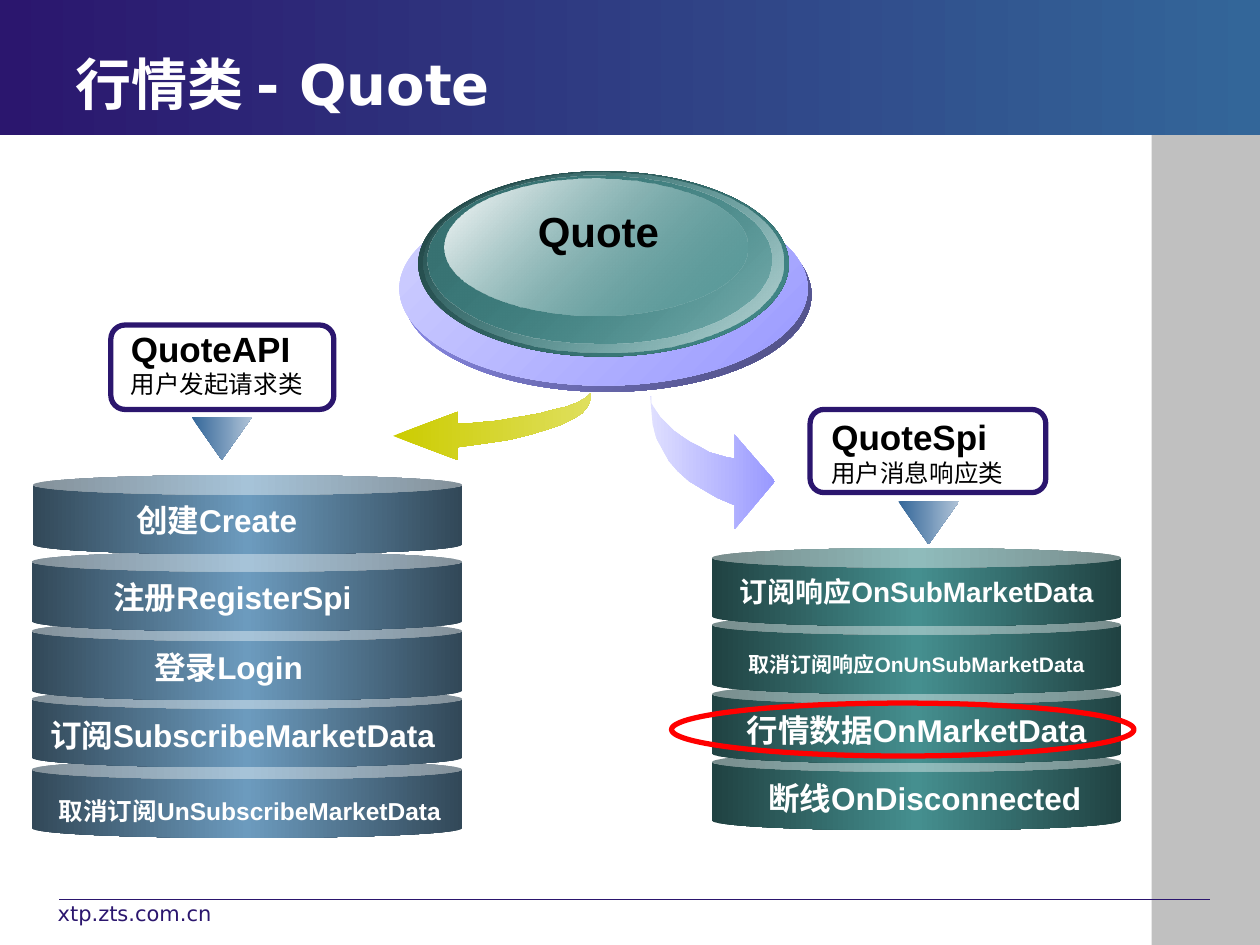
from lxml.etree import SubElement
from pptx import Presentation
from pptx.dml.color import RGBColor
from pptx.enum.shapes import MSO_CONNECTOR, MSO_SHAPE
from pptx.enum.text import MSO_ANCHOR, PP_ALIGN
from pptx.oxml.ns import qn
from pptx.util import Pt

EMU_PER_PX = 9144  # 100 px to the inch

COLORS = {
    "navy": "2B166E", "blue": "336699", "pale_blue": "AFC3D7", "gray": "C0C0C0",
    "steel": "6C9BBE", "dark_steel": "324858",
    "teal": "458F8F", "dark_teal": "204242", "mid_teal": "377171", "pale_teal": "BED8D8",
    "violet": "9999FF", "dark_violet": "4A4A7C", "light_violet": "D2D2FF", "pale_violet": "DFDFFF",
    "olive": "CCCC00", "pale_olive": "DFDF5D",
    "white": "FFFFFF", "black": "000000", "red": "FF0000",
}

YELLOW_ARROW = [
    (469, 312), (469, 318), (466, 323), (462, 328), (454, 333), (446, 337), (434, 341),
    (421, 345), (405, 349), (385, 352), (363, 355), (363, 365), (312, 346), (363, 327),
    (363, 336), (373, 336), (383, 335), (395, 334), (406, 332), (418, 330), (429, 328),
    (440, 325), (449, 323), (457, 320), (463, 317), (467, 314),
]
VIOLET_ARROW = [
    (516, 314), (517, 326), (518, 337), (521, 348), (526, 357), (531, 366), (538, 374),
    (547, 382), (557, 388), (569, 395), (583, 401), (583, 420), (615, 382), (583, 345),
    (583, 364), (577, 363), (570, 361), (563, 359), (556, 355), (548, 351), (542, 347),
    (535, 342), (529, 336), (524, 331), (520, 325), (517, 320), (517, 314),
]

# Box, gradient stops (position, color, opacity), from the rim to the highlight
DISC_LAYERS = [
    ((320, 157, 324, 154), [(0, "violet", 100), (100, "dark_violet", 100)]),
    ((317, 152, 324, 154), [(0, "light_violet", 100), (100, "violet", 100)]),
    ((332, 136, 294, 147), [(0, "dark_teal", 100), (100, "teal", 100)]),
    ((336, 137, 286, 143), [(0, "teal", 0), (100, "pale_teal", 100)]),
    ((339, 139, 273, 134), [(0, "mid_teal", 100), (100, "teal", 48)]),
    ((353, 142, 240, 108), [(0, "white", 100), (100, "teal", 38)]),
]

# Can box, label box, label, size: from the bottom can to the top one
API_CANS = [
    ((25, 603, 342, 62), (30, 627, 337, 34), "取消订阅UnSubscribeMarketData", 14),
    ((25, 547, 342, 62), (12, 563, 361, 40), "订阅SubscribeMarketData", 18),
    ((25, 493, 342, 63), (90, 509, 183, 40), "登录Login", 18),
    ((25, 438, 342, 63), (46, 454, 277, 40), "注册RegisterSpi", 18),
    ((26, 377, 341, 63), (74, 393, 196, 40), "创建Create", 18),
]
SPI_CANS = [
    ((565, 597, 325, 62), (587, 613, 294, 40), "断线OnDisconnected", 18),
    ((565, 543, 325, 63), (573, 559, 309, 40), "行情数据OnMarketData", 18),
    ((565, 488, 325, 63), (573, 512, 309, 30), "取消订阅响应OnUnSubMarketData", 12),
    ((565, 435, 325, 62), (573, 451, 309, 37), "订阅响应OnSubMarketData", 16),
]


def px(value):
    return value * EMU_PER_PX


def rgb(name):
    return RGBColor.from_string(COLORS[name])


def add_run(paragraph, text, size=18, color="black", bold=False, font="Arial"):
    run = paragraph.add_run()
    run.text = text
    run.font.size = Pt(size)
    run.font.bold = bold
    run.font.name = font
    run.font.color.rgb = rgb(color)


def fill_gradient(shape, stops, angle):
    """Fill with (position, color, opacity) stops, the angle running clockwise."""
    shape.fill.gradient()
    gradient = shape._element.spPr.find(qn("a:gradFill"))
    gradient.find(qn("a:lin")).set("ang", str(angle * 60000))
    stop_list = gradient.find(qn("a:gsLst"))
    stop_list.clear()
    for position, color, opacity in stops:
        stop = SubElement(stop_list, qn("a:gs"), pos=str(position * 1000))
        color_element = SubElement(stop, qn("a:srgbClr"), val=COLORS[color])
        if opacity < 100:
            SubElement(color_element, qn("a:alpha"), val=str(opacity * 1000))


def even_stops(*colors):
    return [(100 * index // (len(colors) - 1), color, 100) for index, color in enumerate(colors)]


class SlideBuilder:
    def __init__(self, slide):
        self.slide = slide

    def finish(self, shape, fill=None, stops=None, angle=0, line=None, line_width=3):
        shape.shadow.inherit = False
        if stops:
            fill_gradient(shape, stops, angle)
        elif fill:
            shape.fill.solid()
            shape.fill.fore_color.rgb = rgb(fill)
        else:
            shape.fill.background()
        if line:
            shape.line.color.rgb = rgb(line)
            shape.line.width = Pt(line_width)
        else:
            shape.line.fill.background()
        return shape

    def shape(self, kind, box, **style):
        return self.finish(self.slide.shapes.add_shape(kind, *map(px, box)), **style)

    def outline(self, points, **style):
        builder = self.slide.shapes.build_freeform(*points[0], scale=EMU_PER_PX)
        builder.add_line_segments(points[1:], close=True)
        return self.finish(builder.convert_to_shape(), **style)

    def line(self, left, right, y, color, width):
        connector = self.slide.shapes.add_connector(
            MSO_CONNECTOR.STRAIGHT, px(left), px(y), px(right), px(y))
        connector.line.color.rgb = rgb(color)
        connector.line.width = Pt(width)
        SubElement(connector._element.spPr, qn("a:effectLst"))

    def text(self, box, *lines, align=PP_ALIGN.LEFT, anchor=MSO_ANCHOR.TOP):
        """Add a text box with one paragraph for each (text, format) line."""
        frame = self.slide.shapes.add_textbox(*map(px, box)).text_frame
        frame.word_wrap = True
        frame.vertical_anchor = anchor
        for index, (text, style) in enumerate(lines):
            paragraph = frame.add_paragraph() if index else frame.paragraphs[0]
            paragraph.alignment = align
            add_run(paragraph, text, **style)

    def can_stack(self, cans, edge, middle):
        for can_box, label_box, label, size in cans:
            self.shape(MSO_SHAPE.CAN, can_box, stops=even_stops(edge, middle, edge))
            self.text(label_box, (label, {"size": size, "color": "white", "bold": True}),
                      align=PP_ALIGN.CENTER)

    def class_header(self, frame_box, text_box, pointer_box, name, role):
        frame = self.shape(MSO_SHAPE.ROUNDED_RECTANGLE, frame_box, line="navy")
        frame.adjustments[0] = 0.167
        self.text(text_box, (name, {"size": 20, "bold": True}), (role, {"size": 14}))
        pointer = self.shape(MSO_SHAPE.UP_ARROW, pointer_box,
                             stops=even_stops("blue", "pale_blue"), angle=180)
        pointer.adjustments[0] = 0.517
        pointer.adjustments[1] = 1
        pointer.rotation = 180


def main():
    presentation = Presentation()
    presentation.slide_width = px(1000)
    presentation.slide_height = px(750)
    builder = SlideBuilder(presentation.slides.add_slide(presentation.slide_layouts[6]))

    builder.shape(MSO_SHAPE.RECTANGLE, (914, 107, 86, 643), fill="gray")
    builder.line(47, 960, 714, "navy", 0.75)
    builder.shape(MSO_SHAPE.RECTANGLE, (0, 0, 1000, 107), stops=even_stops("navy", "blue"))
    builder.text((50, 35, 675, 62),
                 ("行情类 - Quote",
                  {"size": 32, "color": "white", "bold": True, "font": "DejaVu Sans"}),
                 anchor=MSO_ANCHOR.MIDDLE)
    builder.text((36, 710, 233, 35),
                 ("xtp.zts.com.cn", {"size": 12, "color": "navy", "font": "DejaVu Sans"}))

    builder.outline(YELLOW_ARROW, stops=even_stops("olive", "pale_olive"))
    builder.outline(VIOLET_ARROW, stops=even_stops("pale_violet", "violet"))
    for box, stops in DISC_LAYERS:
        builder.shape(MSO_SHAPE.OVAL, box, stops=stops, angle=45)
    builder.text((407, 158, 136, 90), ("Quote", {"size": 24, "bold": True}),
                 align=PP_ALIGN.CENTER)

    builder.class_header((88, 258, 177, 67), (94, 255, 223, 67), (152, 331, 48, 34),
                         "QuoteAPI", "用户发起请求类")
    builder.class_header((643, 325, 187, 66), (650, 325, 223, 67), (713, 398, 48, 34),
                         "QuoteSpi", "用户消息响应类")
    builder.can_stack(API_CANS, "dark_steel", "steel")
    builder.can_stack(SPI_CANS, "dark_teal", "teal")
    builder.shape(MSO_SHAPE.OVAL, (533, 558, 367, 42), line="red")

    presentation.save("out.pptx")


if __name__ == "__main__":
    main()
